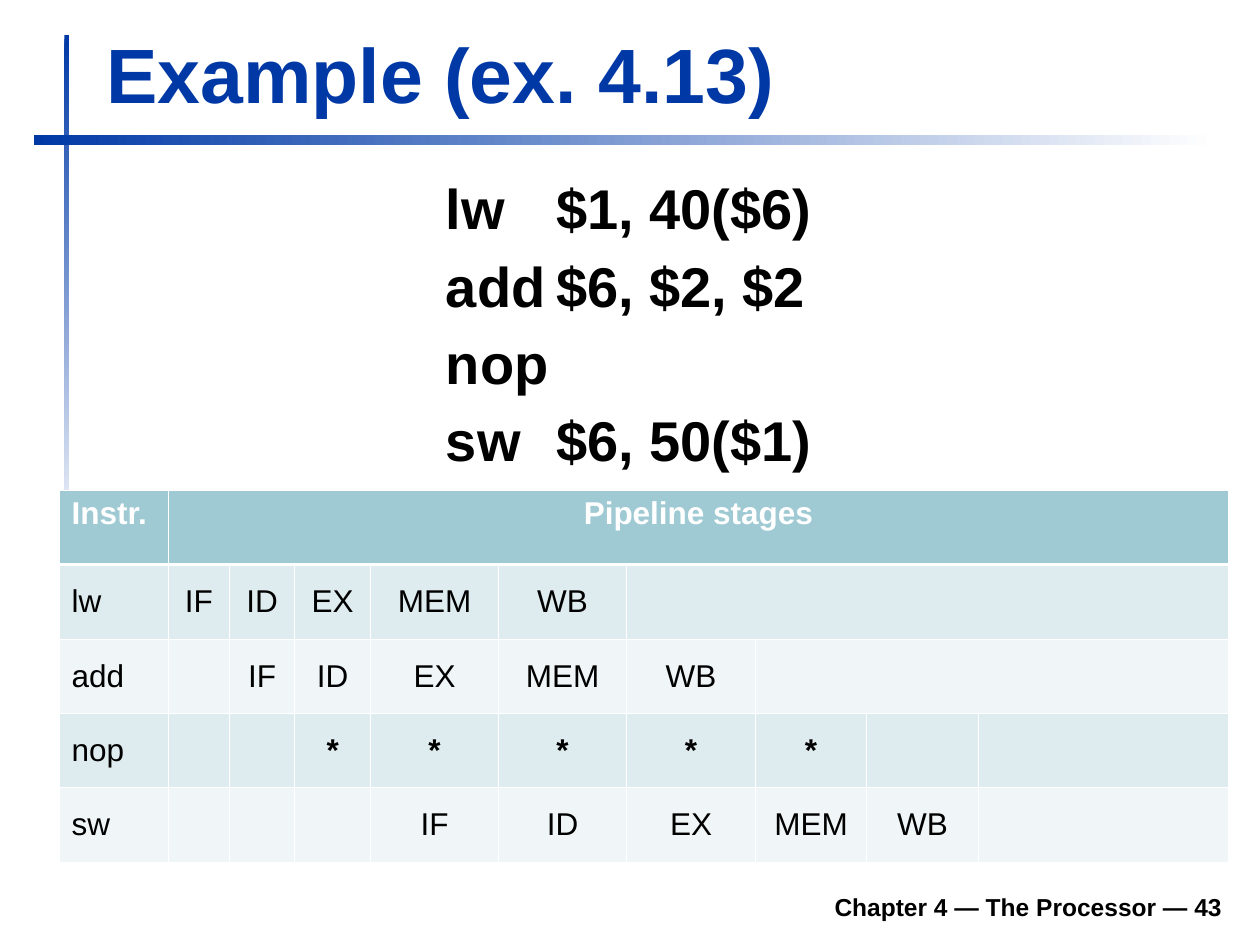
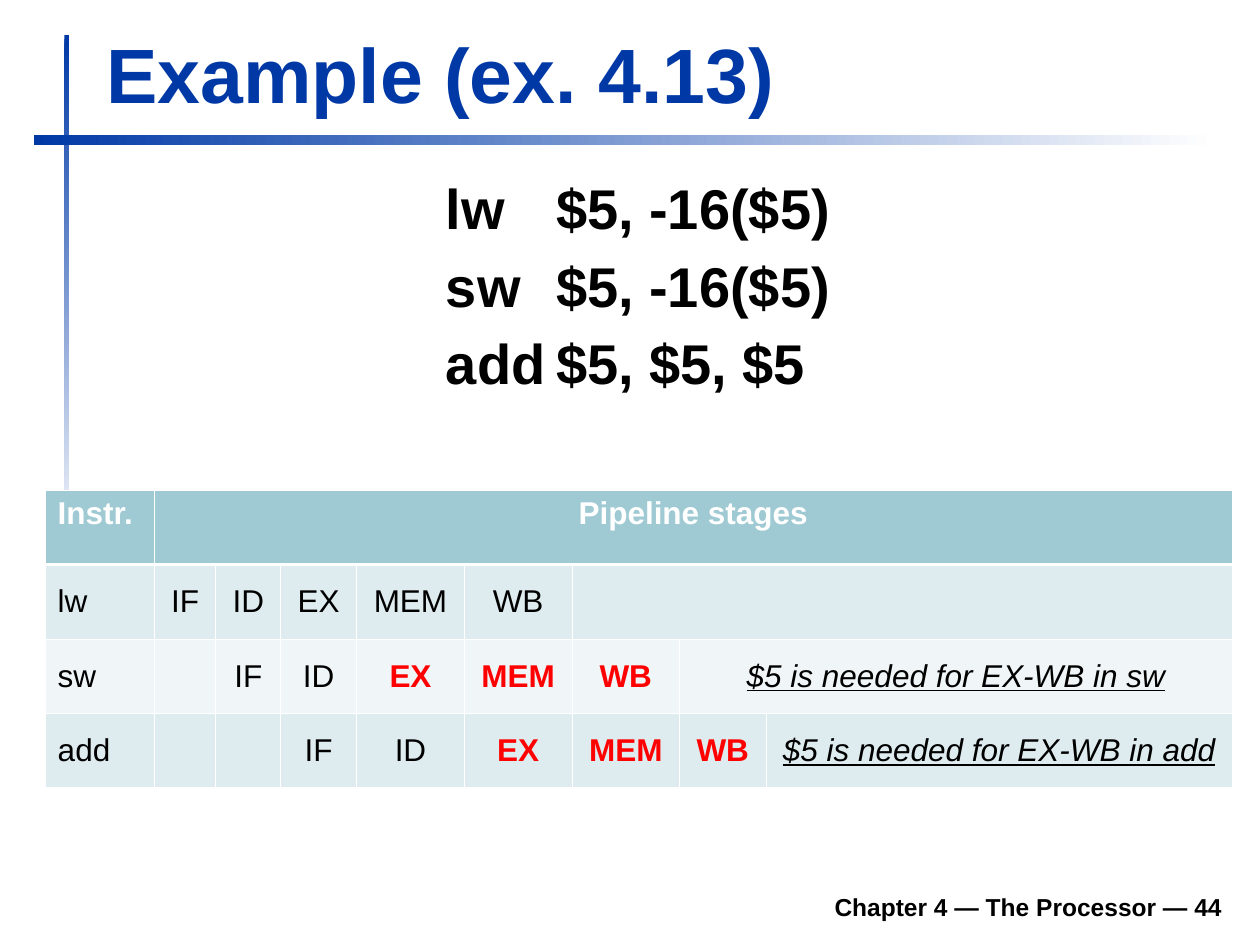
"""Build two slides that trace pipeline stages for exercise 4.13."""
import lxml.etree
import pptx
import pptx.dml.color
import pptx.enum.shapes
import pptx.enum.text
import pptx.oxml.ns
import pptx.util

Cm = pptx.util.Cm
Pt = pptx.util.Pt
ALIGN = pptx.enum.text.PP_ALIGN
ANCHOR = pptx.enum.text.MSO_ANCHOR
qn = pptx.oxml.ns.qn

COLORS = {"blue": "0039A6", "white": "FFFFFF", "black": "000000", "red": "FF0000",
          "header": "9FCAD3", "odd": "DFECEF", "even": "F0F6F7"}
FONT = "Arial"
TITLE = "Example (ex. 4.13)"
FOOTER = "Chapter 4 — The Processor — {}"
HEADER = ("Instr.", "Pipeline stages")
BANDS = [((1.3, 0.71, 0.1, 10.59), 270), ((0.69, 2.72, 23.8, 0.2), 0)]
ROW_HEIGHT = 1.5
TABLE_TOP = 9.88

SLIDES = [
    {
        "number": 43,
        "code": ["lw\t$1, 40($6)", "add\t$6, $2, $2", "nop", "sw\t$6, 50($1)"],
        "left": 1.19,
        "columns": [2.2, 1.24, 1.31, 1.53, 2.58, 2.58, 2.6, 2.24, 2.25, 5.05],
        "rows": [
            ("lw", "IF", "ID", "EX", "MEM", "WB", ""),
            ("add", "", "IF", "ID", "EX", "MEM", "WB", ""),
            ("nop", "", "", "*", "*", "*", "*", "*", "", ""),
            ("sw", "", "", "", "IF", "ID", "EX", "MEM", "WB", ""),
        ],
        "hazards": {},
    },
    {
        "number": 44,
        "code": ["lw\t$5, -16($5)", "sw\t$5, -16($5)", "add\t$5, $5, $5"],
        "left": 0.91,
        "columns": [2.2, 1.24, 1.31, 1.53, 2.17, 2.17, 2.17, 1.74, 9.4],
        "rows": [
            ("lw", "IF", "ID", "EX", "MEM", "WB", ""),
            ("sw", "", "IF", "ID", "EX", "MEM", "WB", "$5 is needed for EX-WB in sw"),
            ("add", "", "", "IF", "ID", "EX", "MEM", "WB", "$5 is needed for EX-WB in add"),
        ],
        "hazards": {2: range(4, 7), 3: range(5, 8)},
    },
]


def rgb(name):
    return pptx.dml.color.RGBColor.from_string(COLORS[name])


def style(paragraph, size, color, bold=True, align=ALIGN.LEFT):
    paragraph.alignment = align
    font = paragraph.font
    font.name, font.size, font.bold = FONT, Pt(size), bold
    font.color.rgb = rgb(color)


def add_text(slide, box, lines, size, color, align=ALIGN.LEFT, anchor=ANCHOR.TOP):
    frame = slide.shapes.add_textbox(*map(Cm, box)).text_frame
    frame.word_wrap = True
    frame.vertical_anchor = anchor
    frame.text = "\n".join(lines)
    for paragraph in frame.paragraphs:
        style(paragraph, size, color, align=align)
    return frame.paragraphs


def add_band(slide, box, angle):
    shape = slide.shapes.add_shape(pptx.enum.shapes.MSO_SHAPE.RECTANGLE, *map(Cm, box))
    shape.shadow.inherit = False
    shape.line.fill.background()
    shape.fill.gradient()
    shape.fill.gradient_angle = angle
    for stop, color in zip(shape.fill.gradient_stops, ("blue", "white")):
        stop.color.rgb = rgb(color)


def add_code(slide, lines):
    paragraphs = add_text(slide, (8.74, 3.53, 9.83, 6), lines, 32, "black")
    for index, paragraph in enumerate(paragraphs):
        paragraph.line_spacing = 0.9
        if index:
            paragraph.space_before = Pt(9.6)
        properties = paragraph._p.get_or_add_pPr()
        properties.set("marL", str(Cm(0.95)))
        properties.set("indent", str(Cm(-0.95)))
        tabs = lxml.etree.SubElement(properties, qn("a:tabLst"))
        lxml.etree.SubElement(tabs, qn("a:tab"), pos=str(Cm(2.54)), algn="l")
        properties.remove(tabs)
        properties.insert_element_before(tabs, "a:defRPr", "a:extLst")


def set_borders(cell, row):
    properties = cell._tc.get_or_add_tcPr()
    heavy = {0: "lnB", 1: "lnT"}.get(row)
    for index, side in enumerate(("lnL", "lnR", "lnT", "lnB")):
        width = Pt(1.5 if side == heavy else 0.45)
        line = lxml.etree.Element(qn("a:" + side), w=str(width))
        fill = lxml.etree.SubElement(line, qn("a:solidFill"))
        lxml.etree.SubElement(fill, qn("a:srgbClr"), val=COLORS["white"])
        properties.insert(index, line)


def write_cell(cell, text, row, column, hazard):
    cell.text = text
    cell.vertical_anchor = ANCHOR.MIDDLE if row else ANCHOR.TOP
    color = "white" if row == 0 else "red" if hazard else "black"
    paragraph = cell.text_frame.paragraphs[0]
    style(paragraph, 18, color, row == 0 or hazard or text == "*",
          ALIGN.CENTER if column else ALIGN.LEFT)
    if text.startswith("$"):
        paragraph.font.italic = paragraph.font.underline = True


def add_pipeline(slide, content):
    """Draw the stage table; the last entry of a short row spans to the right edge."""
    rows, columns = [HEADER, *content["rows"]], content["columns"]
    table = slide.shapes.add_table(
        len(rows), len(columns), Cm(content["left"]), Cm(TABLE_TOP),
        Cm(sum(columns)), Cm(ROW_HEIGHT * len(rows))).table
    for column, width in zip(table.columns, columns):
        column.width = Cm(width)
    for row, entries in enumerate(rows):
        table.rows[row].height = Cm(ROW_HEIGHT)
        band = "header" if row == 0 else "odd" if row % 2 else "even"
        for cell in table.rows[row].cells:
            cell.fill.solid()
            cell.fill.fore_color.rgb = rgb(band)
            set_borders(cell, row)
        for column, text in enumerate(entries):
            hazard = column in content["hazards"].get(row, ())
            write_cell(table.cell(row, column), text, row, column, hazard)
        if len(entries) < len(columns):
            table.cell(row, len(entries) - 1).merge(table.cell(row, len(columns) - 1))


def main():
    presentation = pptx.Presentation()
    presentation.slide_width, presentation.slide_height = Cm(25.4), Cm(19.05)
    for content in SLIDES:
        slide = presentation.slides.add_slide(presentation.slide_layouts[6])
        for box, angle in BANDS:
            add_band(slide, box, angle)
        add_text(slide, (4.7, 17.73, 20.19, 0.98), [FOOTER.format(content["number"])],
                 14, "black", ALIGN.RIGHT, ANCHOR.BOTTOM)
        add_text(slide, (1.9, 0.41, 22.94, 2.11), [TITLE], 44, "blue", anchor=ANCHOR.BOTTOM)
        add_code(slide, content["code"])
        add_pipeline(slide, content)
    presentation.save("out.pptx")


if __name__ == "__main__":
    main()
